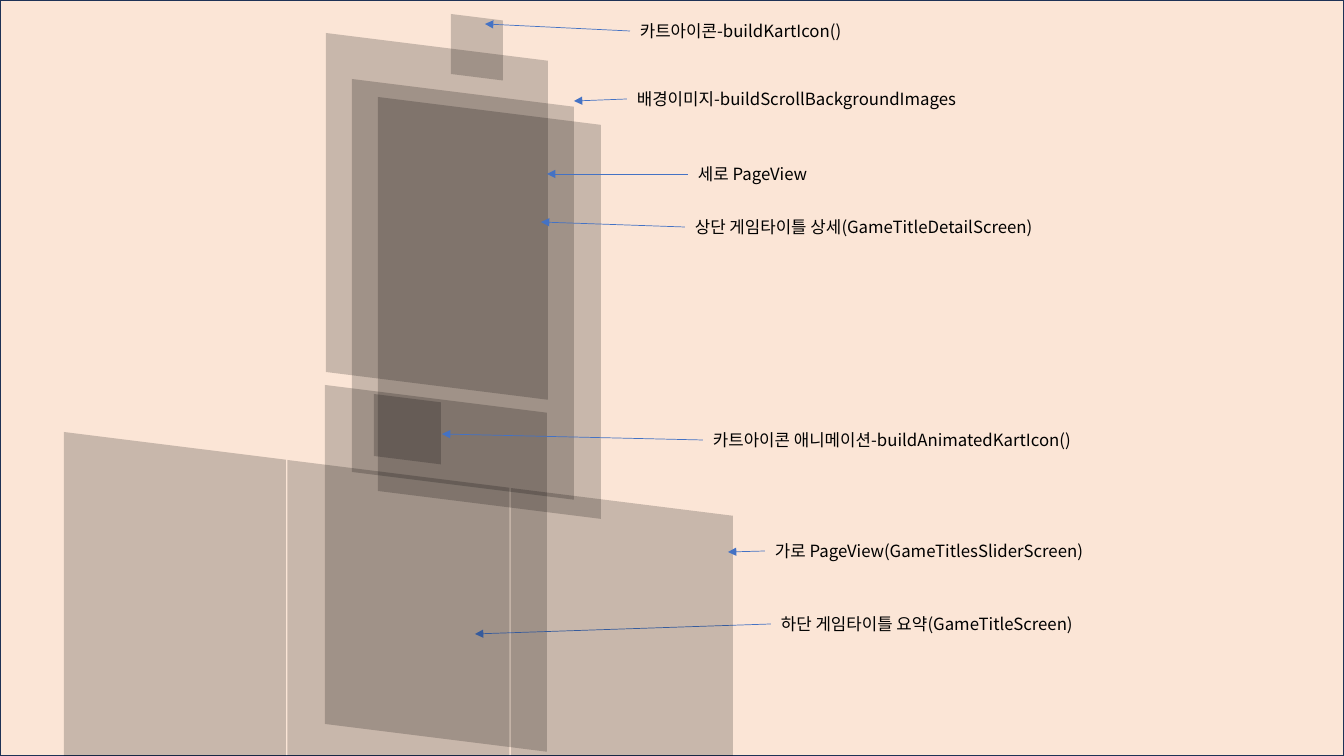
"""Builds a slide of layered translucent screen panels with labelled arrows."""
from lxml import etree
from pptx import Presentation
from pptx.dml.color import RGBColor
from pptx.enum.shapes import MSO_CONNECTOR, MSO_SHAPE
from pptx.enum.text import MSO_AUTO_SIZE
from pptx.oxml.ns import qn
from pptx.util import Emu, Pt

STRAIGHT = MSO_CONNECTOR.STRAIGHT
RECTANGLE = MSO_SHAPE.RECTANGLE
FIT_SHAPE = MSO_AUTO_SIZE.SHAPE_TO_FIT_TEXT
PEACH = RGBColor(0xFB, 0xE5, 0xD6)
NAVY = RGBColor(0x1E, 0x32, 0x56)
BLUE = RGBColor(0x44, 0x72, 0xC4)
BLACK = RGBColor(0, 0, 0)
FONT = "Noto Sans CJK KR"
WIDTH, HEIGHT = 1344, 756
LABEL_HEIGHT = 30
SLOPE = 1 / 8


def px(pixels):
    return Emu(round(pixels * 914400 / 100.8))


deck = Presentation()
deck.slide_width, deck.slide_height = px(WIDTH), px(HEIGHT)
slide = deck.slides.add_slide(deck.slide_layouts[6])
shapes = slide.shapes

backdrop = shapes.add_shape(RECTANGLE, 0, 0, px(WIDTH), px(HEIGHT))
backdrop.shadow.inherit = False
backdrop.fill.solid()
backdrop.fill.fore_color.rgb = PEACH
backdrop.line.color.rgb = NAVY
backdrop.line.width = Pt(1)

# Panels: left, top, width, height. Labels: text, left, top, width, arrow tip.
screen_panels = [
    (378, 97, 223, 394), (352, 79, 222, 393), (326, 33, 222, 339),
    (325, 385, 222, 339), (451, 14, 52, 60), (374, 394, 67, 62),
]
screen_labels = [
    ("배경이미지-buildScrollBackgroundImages", 627, 84, 414, (574, 101)),
    ("세로 PageView", 688, 159, 176, (547, 174)),
    ("상단 게임타이틀 상세(GameTitleDetailScreen)", 685, 212, 614, (541, 222)),
    ("하단 게임타이틀 요약(GameTitleScreen)", 771, 609, 363, (475, 634)),
    ("카트아이콘-buildKartIcon()", 630, 16, 317, (485, 24)),
    ("카트아이콘 애니메이션-buildAnimatedKartIcon()", 703, 425, 458, (442, 434)),
]
slider_panels = [(64 + 223.5 * page, 432 + 28 * page, 222, 339) for page in (1, 2, 0)]
slider_labels = [("가로 PageView(GameTitlesSliderScreen)", 765, 536, 344, (728, 552))]

for panels, labels in ((screen_panels, screen_labels), (slider_panels, slider_labels)):
    for left, top, width, height in panels:
        right, drop = left + width, width * SLOPE
        bottom_left = min(top + height, HEIGHT)
        bottom_right = min(top + height + drop, HEIGHT)
        outline = shapes.build_freeform(px(left), px(top))
        outline.add_line_segments([
            (px(right), px(top + drop)),
            (px(right), px(bottom_right)),
            (px(left), px(bottom_left)),
        ])
        panel = outline.convert_to_shape()
        panel.shadow.inherit = False
        panel.line.fill.background()
        panel.fill.solid()
        panel.fill.fore_color.rgb = BLACK
        color = panel.fill._xPr.find(qn("a:solidFill"))[0]
        etree.SubElement(color, qn("a:alpha"), val="20000")

    for text, left, top, width, (tip_x, tip_y) in labels:
        arrow = shapes.add_connector(
            STRAIGHT, px(left), px(top + LABEL_HEIGHT / 2), px(tip_x), px(tip_y))
        arrow.line.color.rgb = BLUE
        arrow.line.width = Pt(0.5)
        etree.SubElement(arrow.line._get_or_add_ln(), qn("a:tailEnd"), type="triangle")
        etree.SubElement(arrow._element.spPr, qn("a:effectLst"))

        box = shapes.add_textbox(px(left), px(top), px(width), px(LABEL_HEIGHT))
        frame = box.text_frame
        frame.word_wrap = True
        frame.auto_size = FIT_SHAPE
        span = frame.paragraphs[0].add_run()
        span.text = text
        span.font.size = Pt(12)
        span.font.name = FONT
        span.font.color.rgb = BLACK
        etree.SubElement(span.font._element, qn("a:ea"), typeface=FONT)

deck.save("out.pptx")
